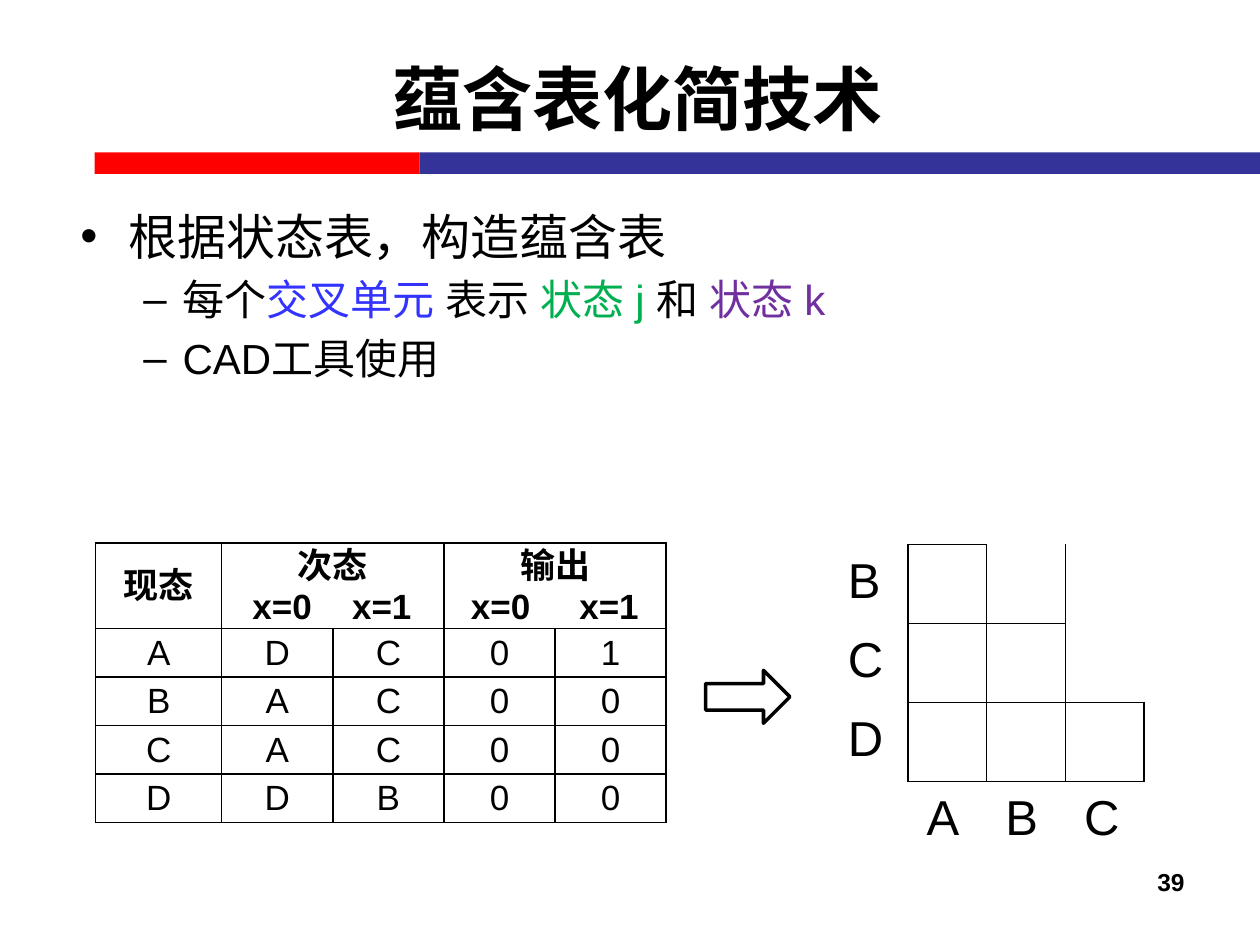
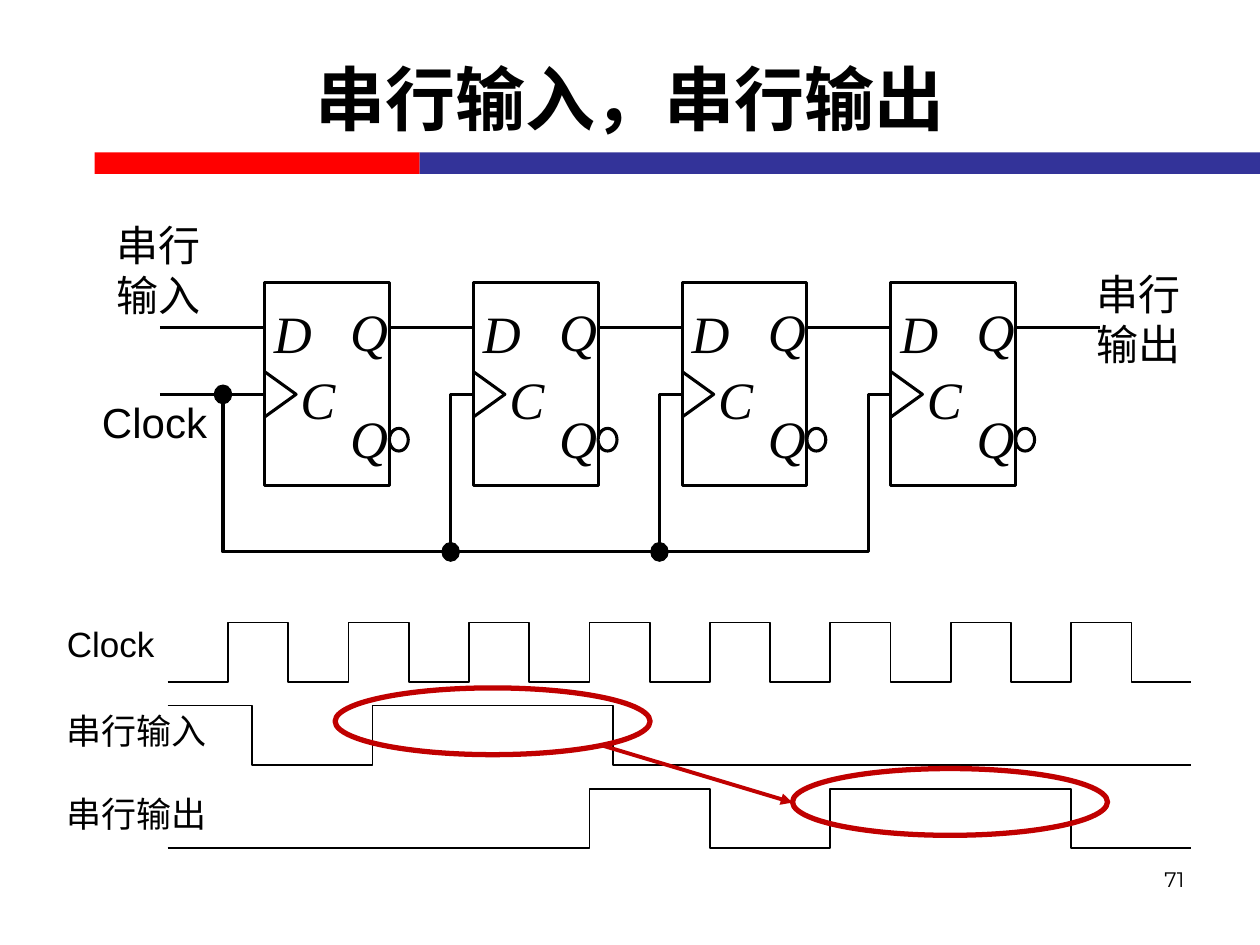
"""Two slides on sequential logic, laid out on a grid of 100 columns by 75 rows."""
from lxml import etree
from pptx import Presentation
from pptx import util as u
from pptx.dml.color import RGBColor
from pptx.enum import lang, shapes, text
from pptx.oxml.ns import qn

BLACK = RGBColor(0x00, 0x00, 0x00)
WHITE = RGBColor(0xFF, 0xFF, 0xFF)
RED = RGBColor(0xFF, 0x00, 0x00)
NAVY = RGBColor(0x33, 0x33, 0x99)
BLUE = RGBColor(0x33, 0x33, 0xFF)
GREEN = RGBColor(0x00, 0xB0, 0x50)
PURPLE = RGBColor(0x70, 0x30, 0xA0)
DARK_RED = RGBColor(0xC0, 0x00, 0x00)

SANS, SERIF = "Arial", "Times New Roman"
HAN, PLAIN = "Noto Sans CJK SC", "Montserrat"
LEFT, CENTER, RIGHT = (text.PP_ALIGN.LEFT, text.PP_ALIGN.CENTER,
                       text.PP_ALIGN.RIGHT)
RECT, OVAL = shapes.MSO_SHAPE.RECTANGLE, shapes.MSO_SHAPE.OVAL
NO_GRID = "{2D5ABB26-0587-4C30-8999-92F81FD0307C}"
WIRE = 1.75


def grid(*units):
    """Turn grid units, a tenth of an inch each, into lengths."""
    return [u.Inches(n / 10) for n in units]


def sub(parent, tag, **attrs):
    """Append a DrawingML element."""
    el = etree.SubElement(parent, qn("a:" + tag))
    for key, value in attrs.items():
        el.set(key, str(value))
    return el


def style(p, size, font=SANS, color=BLACK, bold=False, italic=False,
          align=LEFT, east=PLAIN):
    """Format every run of a paragraph."""
    p.alignment = align
    for r in p.runs:
        f = r.font
        f.size, f.name, f.bold, f.italic = u.Pt(size), font, bold, italic
        f.color.rgb = color
        f.language_id = lang.MSO_LANGUAGE_ID.SIMPLIFIED_CHINESE
        sub(r._r.get_or_add_rPr(), "ea", typeface=east)


def label(s, box, words, size, wrap=False, inset=0, **look):
    """Add a text box with one paragraph."""
    tf = s.shapes.add_textbox(*grid(*box)).text_frame
    tf.word_wrap = wrap
    tf.margin_left = tf.margin_right = u.Inches(inset)
    tf.margin_top = tf.margin_bottom = u.Inches(inset / 2)
    tf.text = words
    style(tf.paragraphs[0], size, **look)


def shape(s, kind, box, fill=None, line=None, width=WIRE):
    """Add a preset shape."""
    sp = s.shapes.add_shape(kind, *grid(*box))
    paint(sp, fill, line, width)


def paint(sp, fill, line, width):
    """Set fill and line of a shape and drop its shadow."""
    sp.shadow.inherit = False
    if fill is None:
        sp.fill.background()
    else:
        sp.fill.solid()
        sp.fill.fore_color.rgb = fill
    if line is None:
        sp.line.fill.background()
    else:
        sp.line.color.rgb = line
        sp.line.width = u.Pt(width)


def path(s, points, width=WIRE):
    """Draw an open line through grid points."""
    points = [grid(*pt) for pt in points]
    fb = s.shapes.build_freeform(*points[0])
    fb.add_line_segments(points[1:], close=False)
    paint(fb.convert_to_shape(), None, BLACK, width)


def connect(s, start, end, color=BLACK, width=WIRE, arrow=False):
    """Draw a straight connector."""
    cn = s.shapes.add_connector(shapes.MSO_CONNECTOR.STRAIGHT,
                                *grid(*start), *grid(*end))
    cn.line.color.rgb = color
    cn.line.width = u.Pt(width)
    if arrow:
        sub(cn.line._get_or_add_ln(), "tailEnd", type="triangle")
    sub(cn._element.spPr, "effectLst")


def new_slide(prs, title, number, left=5, font=SANS, **number_look):
    """Add a slide with title, two-coloured band and page number."""
    s = prs.slides.add_slide(prs.slide_layouts[5])
    shape(s, RECT, (7.5, 12.1, 25.8, 1.7), RED)
    shape(s, RECT, (33.3, 12.1, 66.7, 1.7), NAVY)
    sp = s.shapes.title
    sp.left, sp.top, sp.width, sp.height = grid(left, 1.5, 90, 12.5)
    tf = sp.text_frame
    tf.text = title
    tf.auto_size = text.MSO_AUTO_SIZE.NONE
    tf.vertical_anchor = text.MSO_ANCHOR.MIDDLE
    style(tf.paragraphs[0], 40, font, bold=True, align=CENTER, east=HAN)
    label(s, (71.7, 68.3, 23.3, 5.2), number, wrap=True, inset=0.1,
          align=RIGHT, **number_look)
    return s


def bullets(s, box, items):
    """Add a bullet list of (level, [(words, colour), ...])."""
    tf = s.shapes.add_textbox(*grid(*box)).text_frame
    tf.word_wrap = True
    for i, (level, pieces) in enumerate(items):
        p = tf.paragraphs[0] if i == 0 else tf.add_paragraph()
        p.level = level
        size, margin, hang, mark = ((28, 0.38, 0.38, "•"),
                                    (24, 0.81, 0.31, "–"))[level]
        pPr = p._p.get_or_add_pPr()
        pPr.set("marL", str(u.Inches(margin)))
        pPr.set("indent", str(-u.Inches(hang)))
        sub(pPr, "buFont", typeface=SANS)
        sub(pPr, "buChar", char=mark)
        if i:
            p.space_before = u.Pt(size * 0.2)
        for words, _ in pieces:
            p.add_run().text = words
        style(p, size)
        for r, (_, color) in zip(p.runs, pieces):
            r.font.color.rgb = color


def plain_table(s, box, widths, heights):
    """Add a table without style, with given columns and rows."""
    frame = s.shapes.add_table(len(heights), len(widths), *grid(*box))
    tbl = frame.table
    tbl.first_row = tbl.horz_banding = False
    tbl._tbl.tblPr.find(qn("a:tableStyleId")).text = NO_GRID
    for col, width in zip(tbl.columns, grid(*widths)):
        col.width = width
    for row, height in zip(tbl.rows, grid(*heights)):
        row.height = height
    return tbl


def border(cell, sides="LRTB"):
    """Draw black borders on the named sides of a cell."""
    tcPr = cell._tc.get_or_add_tcPr()
    for side in sides:
        ln = sub(tcPr, "ln" + side, w=u.Pt(1))
        sub(sub(ln, "solidFill"), "srgbClr", val=BLACK)


def margins(cell, side, end):
    """Set the inner margins of a cell."""
    cell.margin_left = cell.margin_right = u.Inches(side)
    cell.margin_top = cell.margin_bottom = u.Inches(end)


def state_table(s):
    """Add the state table with merged two-line headings."""
    rows = ["ADC01", "BAC00", "CAC00", "DDB00"]
    tbl = plain_table(s, (7.6, 43.1, 45.3, 22.2), [10] + [8.82] * 4,
                      [6.8] + [3.85] * 4)
    for col in (1, 3):
        tbl.cell(0, col).merge(tbl.cell(0, col + 1))
    headings = {0: "现态", 1: "次态\n\tx=0\tx=1", 3: "输出\n\tx=0\tx=1"}
    tabs = {1: (4.8, 12.7), 3: (4.5, 13.1)}
    for r, row in enumerate([None] + rows):
        for c in range(5):
            cell = tbl.cell(r, c)
            border(cell)
            cell.fill.solid()
            cell.fill.fore_color.rgb = WHITE
            margins(cell, 0, 0)
            cell.vertical_anchor = text.MSO_ANCHOR.MIDDLE
            if r == 0 and c not in headings:
                continue
            cell.text = row[c] if row else headings[c]
            for i, p in enumerate(cell.text_frame.paragraphs):
                if i:
                    stops = sub(p._p.get_or_add_pPr(), "tabLst")
                    for pos in grid(*tabs[c]):
                        sub(stops, "tab", pos=pos, algn="ctr")
                style(p, 20, bold=r == 0, align=LEFT if i else CENTER)


def implication_table(s):
    """Add the staircase of state pairs with its labels."""
    def pair(r, c):
        return 0 <= r < 3 and 1 <= c <= r + 1

    tbl = plain_table(s, (65.8, 43.2, 25, 25), [6.25] * 4, [6.25] * 4)
    steps = {"L": (0, -1), "R": (0, 1), "T": (-1, 0), "B": (1, 0)}
    for r in range(4):
        for c in range(4):
            cell = tbl.cell(r, c)
            border(cell, [side for side, (dr, dc) in steps.items()
                          if pair(r, c) or pair(r + dr, c + dc)])
            cell.fill.background()
            margins(cell, 0.15, 0.08)
            if c == 0 and r < 3:
                cell.text = "BCD"[r]
            elif r == 3 and c:
                cell.text = "ABC"[c - 1]
            style(cell.text_frame.paragraphs[0], 28)


def flip_flop(s, left):
    """Draw a D flip-flop whose left edge is given."""
    shape(s, RECT, (left, 22.4, 9.9, 16.1), line=BLACK)
    for letter, dx, top in (("D", 0.75, 23.9), ("Q", 6.8, 23.7),
                            ("Q", 6.8, 32.2), ("C", 2.85, 29.1)):
        label(s, (left + dx, top, 2.7, 4.6), letter, 30, font=SERIF,
              italic=True)
    shape(s, OVAL, (left + 9.9, 34, 1.5, 1.8), WHITE, BLACK)
    path(s, [(left, 33.1), (left + 2.5, 31.3), (left, 29.5)])


def junction(s, x, y):
    """Draw a wire junction dot."""
    shape(s, OVAL, (x - 0.7, y - 0.75, 1.4, 1.5), BLACK, BLACK, 0.5)


def shift_register(s):
    """Draw four chained flip-flops on a common clock."""
    pitch, data, clock, bus = 16.57, 26, 31.3, 43.8
    lefts = [21 + pitch * i for i in range(4)]
    for left in lefts:
        flip_flop(s, left)
        connect(s, (left + 9.9, data), (left + pitch, data))
    connect(s, (12.7, data), (lefts[0], data))
    connect(s, (12.7, clock), (lefts[0], clock))
    junction(s, 17.7, clock)
    last = lefts[-1]
    path(s, [(17.7, clock), (17.7, bus), (last - 1.8, bus),
             (last - 1.8, clock), (last, clock)])
    for left in lefts[1:-1]:
        tap = left - 1.8
        path(s, [(tap, bus), (tap, clock), (left, clock)])
        junction(s, tap, bus)
    label(s, (87, 21.3, 9, 8.1), "串行输出", 24, wrap=True, font=HAN)
    label(s, (8.1, 31.5, 8.4, 4), "Clock", 24)
    label(s, (8, 17.4, 9.2, 8.1), "串行输入", 24, wrap=True, font=HAN,
          align=CENTER)


def waveform(s, top, edges, high=False):
    """Draw a two-level signal that flips at each edge."""
    y = {True: top, False: top + 4.7}
    points = [(13.3, y[high])]
    for x in edges:
        points += [(x, y[high]), (x, y[not high])]
        high = not high
    path(s, points + [(94.5, y[high])], 1)


def timing(s):
    """Draw clock, input and output with the delayed pulse marked."""
    ticks = [18.1 + 4.78 * i for i in range(16)]
    waveform(s, 49.4, ticks)
    waveform(s, 56, [ticks[i] + 1.9 for i in (0, 2, 6)], high=True)
    waveform(s, 62.6, [ticks[i] for i in (6, 8, 10, 14)])
    for top, words, font in ((49.4, "Clock", SANS), (56.3, "串行输入", HAN),
                             (62.9, "串行输出", HAN)):
        label(s, (5.3, top, 11.2, 3.4), words, 20, font=font)
    for left, top in ((26.6, 54.6), (62.9, 61)):
        shape(s, OVAL, (left, top, 25, 5.3), line=DARK_RED, width=3)
    connect(s, (47.9, 59.2), (62.9, 63.7), DARK_RED, 2.25, arrow=True)


def main():
    """Build both slides and save them."""
    prs = Presentation()
    prs.slide_width, prs.slide_height = grid(100, 75)

    s = new_slide(prs, "蕴含表化简技术", "39", left=5.6, font=HAN, size=14,
                  bold=True)
    bullets(s, (5.4, 15.9, 66.5, 18.4), [
        (0, [("根据状态表，构造蕴含表", BLACK)]),
        (1, [("每个", BLACK), ("交叉单元 ", BLUE), ("表示 ", BLACK),
             ("状态 j ", GREEN), ("和 ", BLACK), ("状态 k", PURPLE)]),
        (1, [("CAD工具使用", BLACK)])])
    implication_table(s)
    state_table(s)
    shape(s, shapes.MSO_SHAPE.RIGHT_ARROW, (56, 53.2, 6.7, 4.2), line=BLACK,
          width=2)

    s = new_slide(prs, "串行输入，串行输出", "71", size=12, font=SANS)
    s.shapes[-1].text_frame.paragraphs[0].runs[0].font.name = PLAIN
    shift_register(s)
    timing(s)
    prs.save("out.pptx")


if __name__ == "__main__":
    main()
